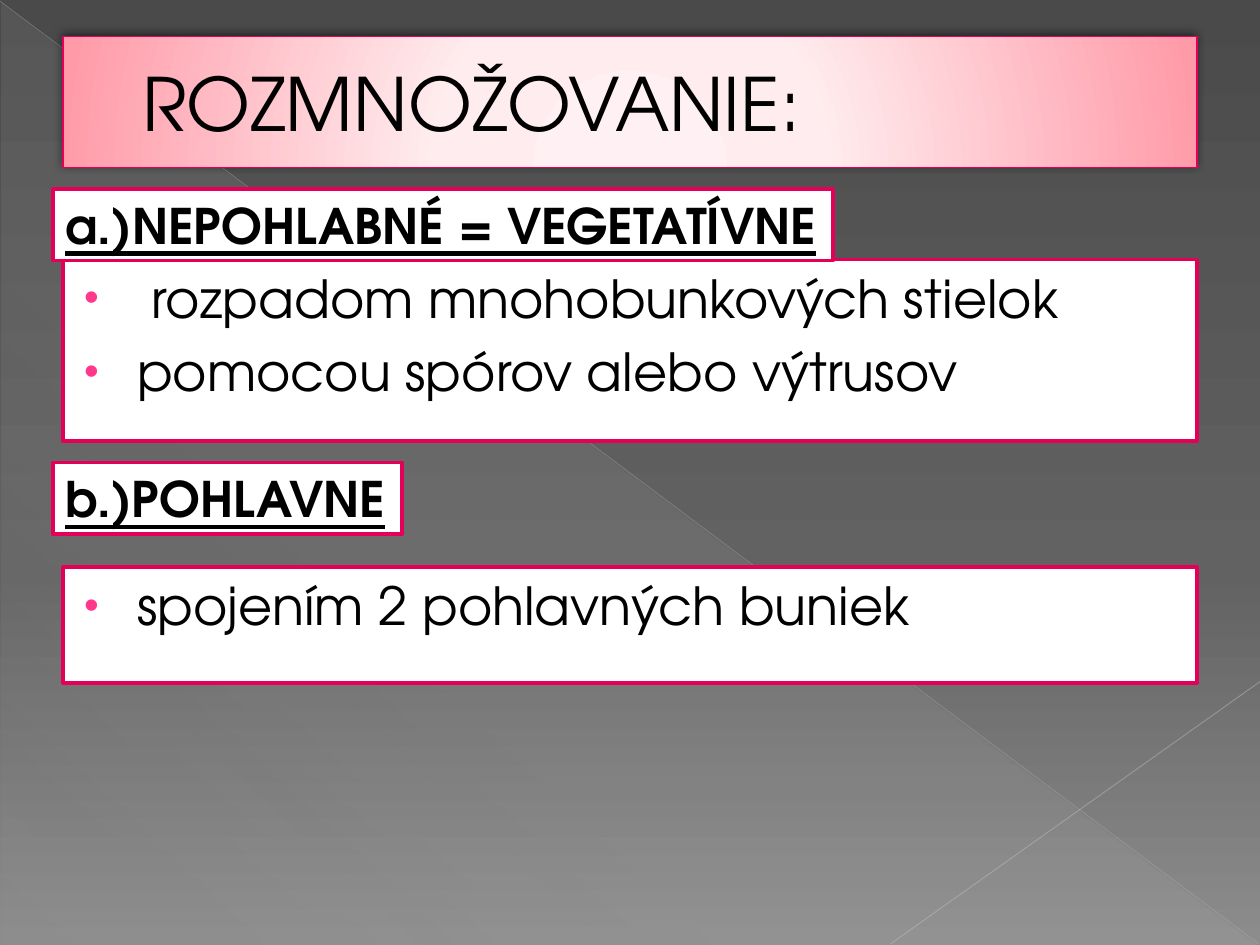
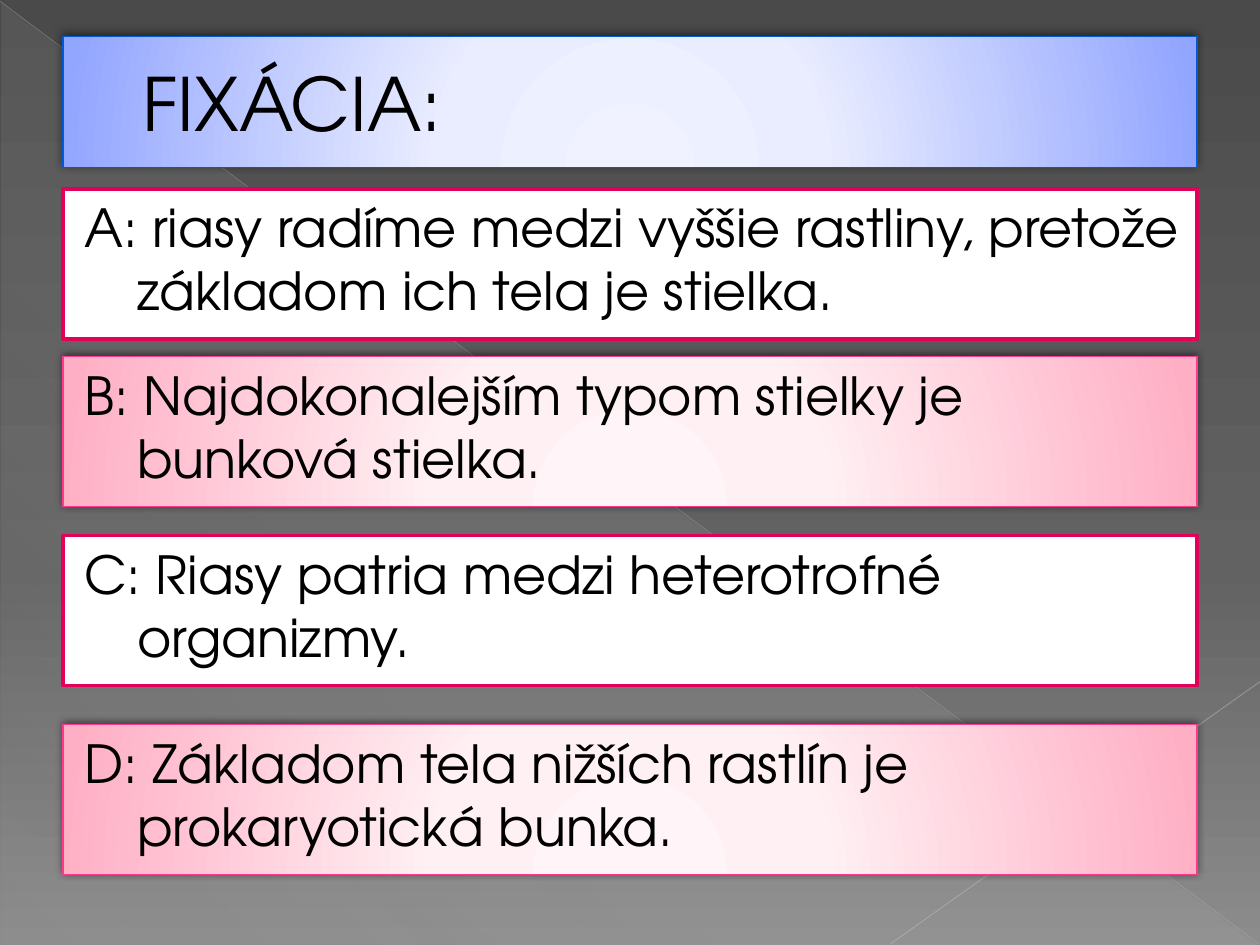
from lxml.etree import SubElement as Sub
from pptx import Presentation
from pptx.dml.color import RGBColor as RGB
from pptx.enum.shapes import MSO_CONNECTOR as LINK, MSO_SHAPE as FORM
from pptx.enum.text import MSO_ANCHOR as ANCHOR, MSO_AUTO_SIZE as FIT, PP_ALIGN as ALIGN
from pptx.oxml.ns import qn
from pptx.util import Inches, Pt

FONT = "TeX Gyre Adventor"
COLORS = {
    "text": "000000", "white": "FFFFFF", "crimson": "E40059", "pink": "FF388C",
    "blue": "005BD3", "outline": "B12761", "facet": "D2D2D2",
    "diagonal": "BFBFBF", "corner": "C6C6C6",
}
BACKDROP = [(0, "4A4A4A", 100), (60, "626262", 100), (100, "8C8C8C", 100)]
FACET = [(0, COLORS["facet"], 10), (70, COLORS["facet"], 8), (100, COLORS["facet"], 1)]
ROSE = [(0, "FFF1F3", 100), (34, "FFECEE", 100), (100, "FF9BA9", 100)]
SKY = [(0, "F0F2FF", 100), (34, "EAEDFF", 100), (100, "92A5FF", 100)]
BLUSH = [(0, "FFF4F7", 100), (34, "FFF0F3", 100), (100, "FFAFC5", 100)]
RAYS = [((0, 0.01, 9.99, 7.49), "diagonal", 0.39, 35),
        ((10, 5.41, 7.07, 7.49), "corner", 0.47, 45)]

STYLES = {
    "rose title": (ROSE, "crimson", 42),
    "blue title": (SKY, "blue", 42),
    "label": (None, "crimson", 28),
    "plain": (None, "crimson", 30),
    "blush": (BLUSH, "pink", 30),
}

SLIDES = [
    [((0.5, 0.29, 9, 1.04), "rose title", ["ROZMNOŽOVANIE:"], False),
     ((0.5, 2.06, 9, 1.44), "plain",
      [" rozpadom mnohobunkových stielok", "pomocou spórov alebo výtrusov"], True),
     ((0.42, 1.5, 6.19, 0.57), "label", ["a.)NEPOHLABNÉ = VEGETATÍVNE"], False),
     ((0.42, 3.67, 2.77, 0.57), "label", ["b.)POHLAVNE"], False),
     ((0.5, 4.5, 9, 0.92), "plain", ["spojením 2 pohlavných buniek"], True)],
    [((0.5, 0.29, 9, 1.04), "blue title", ["FIXÁCIA:"], False),
     ((0.5, 1.5, 9, 1.19), "plain",
      ["A: riasy radíme medzi vyššie rastliny, pretože základom ich tela je stielka."], False),
     ((0.5, 2.83, 9, 1.19), "blush",
      ["B: Najdokonalejším typom stielky je bunková stielka."], False),
     ((0.5, 4.25, 9, 1.19), "plain",
      ["C: Riasy patria medzi heterotrofné organizmy."], False),
     ((0.5, 5.75, 9, 1.19), "blush",
      ["D: Základom tela nižších rastlín je prokaryotická bunka."], False)],
]


def set_gradient(fill, element, stops, angle=None):
    fill.gradient()
    gradient = next(element.iter(qn("a:gradFill")))
    gradient.clear()
    stop_list = Sub(gradient, qn("a:gsLst"))
    for position, color, opacity in stops:
        stop = Sub(stop_list, qn("a:gs"), pos=str(position * 1000))
        tint = Sub(stop, qn("a:srgbClr"), val=color)
        if opacity < 100:
            Sub(tint, qn("a:alpha"), val=str(opacity * 1000))
    if angle is None:
        circle = Sub(gradient, qn("a:path"), path="circle")
        Sub(circle, qn("a:fillToRect"), l="50000", t="155000", r="50000", b="-55000")
    else:
        Sub(gradient, qn("a:lin"), ang=str(angle * 60000), scaled="0")


def add_panel(slide, place, style, lines, bulleted):
    stops, border, size = STYLES[style]
    panel = slide.shapes.add_shape(FORM.RECTANGLE, *map(Inches, place))
    panel.shadow.inherit = False
    panel.line.color.rgb = RGB.from_string(COLORS[border])
    panel.line.width = Pt(0.75 if stops else 2)
    if stops:
        set_gradient(panel.fill, panel._element, stops)
        effects = panel._element.spPr.find(qn("a:effectLst"))
        shadow = Sub(effects, qn("a:outerShdw"), blurRad=str(Pt(5)), dist=str(Pt(2)),
                     dir=str(245 * 60000), algn="tl", rotWithShape="0")
        shade = Sub(shadow, qn("a:srgbClr"), val=COLORS["text"])
        Sub(shade, qn("a:alpha"), val="50000")
    else:
        panel.fill.solid()
        panel.fill.fore_color.rgb = RGB.from_string(COLORS["white"])

    is_title, is_label = style.endswith("title"), style == "label"
    frame = panel.text_frame
    frame.word_wrap = not is_label
    frame.auto_size = FIT.SHAPE_TO_FIT_TEXT if is_label else FIT.NONE
    frame.vertical_anchor = ANCHOR.MIDDLE if is_title else ANCHOR.TOP
    for index, line in enumerate(lines):
        paragraph = frame.add_paragraph() if index else frame.paragraphs[0]
        paragraph.add_run().text = line
        paragraph.alignment = ALIGN.LEFT
        paragraph.space_before = Pt(6 if index else 0)
        layout = paragraph._p.get_or_add_pPr()
        if not is_label:
            layout.set("marL", str(Inches(0.53 if is_title else 0.49)))
            layout.set("indent", str(Inches(0 if is_title else -0.42)))
        if bulleted:
            Sub(Sub(layout, qn("a:buClr")), qn("a:srgbClr"), val=COLORS["pink"])
            Sub(layout, qn("a:buSzPct"), val="80000")
            Sub(layout, qn("a:buFont"), typeface="Arial")
            Sub(layout, qn("a:buChar"), char="•")
        font = paragraph.font
        font.name, font.size = FONT, Pt(size)
        font.color.rgb = RGB.from_string(COLORS["text"])
        if is_label:
            font.bold = font.underline = True
        if is_title:
            letters = layout.find(qn("a:defRPr"))
            outline = Sub(letters, qn("a:ln"), w=str(Pt(0.5)))
            Sub(Sub(outline, qn("a:solidFill")), qn("a:srgbClr"), val=COLORS["outline"])
            letters.insert(0, outline)


deck = Presentation()
deck.slide_width, deck.slide_height = Inches(10), Inches(7.5)

for panels in SLIDES:
    slide = deck.slides.add_slide(deck.slide_layouts[6])
    set_gradient(slide.background.fill, slide._element, BACKDROP, 90)

    facet = slide.shapes.add_shape(FORM.RIGHT_TRIANGLE, *map(Inches, (0.01, 0.02, 9.98, 7.48)))
    facet.shadow.inherit = False
    facet.line.fill.background()
    set_gradient(facet.fill, facet._element, FACET, 133)

    for ends, color, width, opacity in RAYS:
        ray = slide.shapes.add_connector(LINK.STRAIGHT, *map(Inches, ends))
        ray.line.color.rgb = RGB.from_string(COLORS[color])
        ray.line.width = Pt(width)
        tint = next(ray._element.spPr.iter(qn("a:srgbClr")))
        Sub(tint, qn("a:alpha"), val=str(opacity * 1000))
        Sub(ray._element.spPr, qn("a:effectLst"))

    for panel in panels:
        add_panel(slide, *panel)

deck.save("out.pptx")
